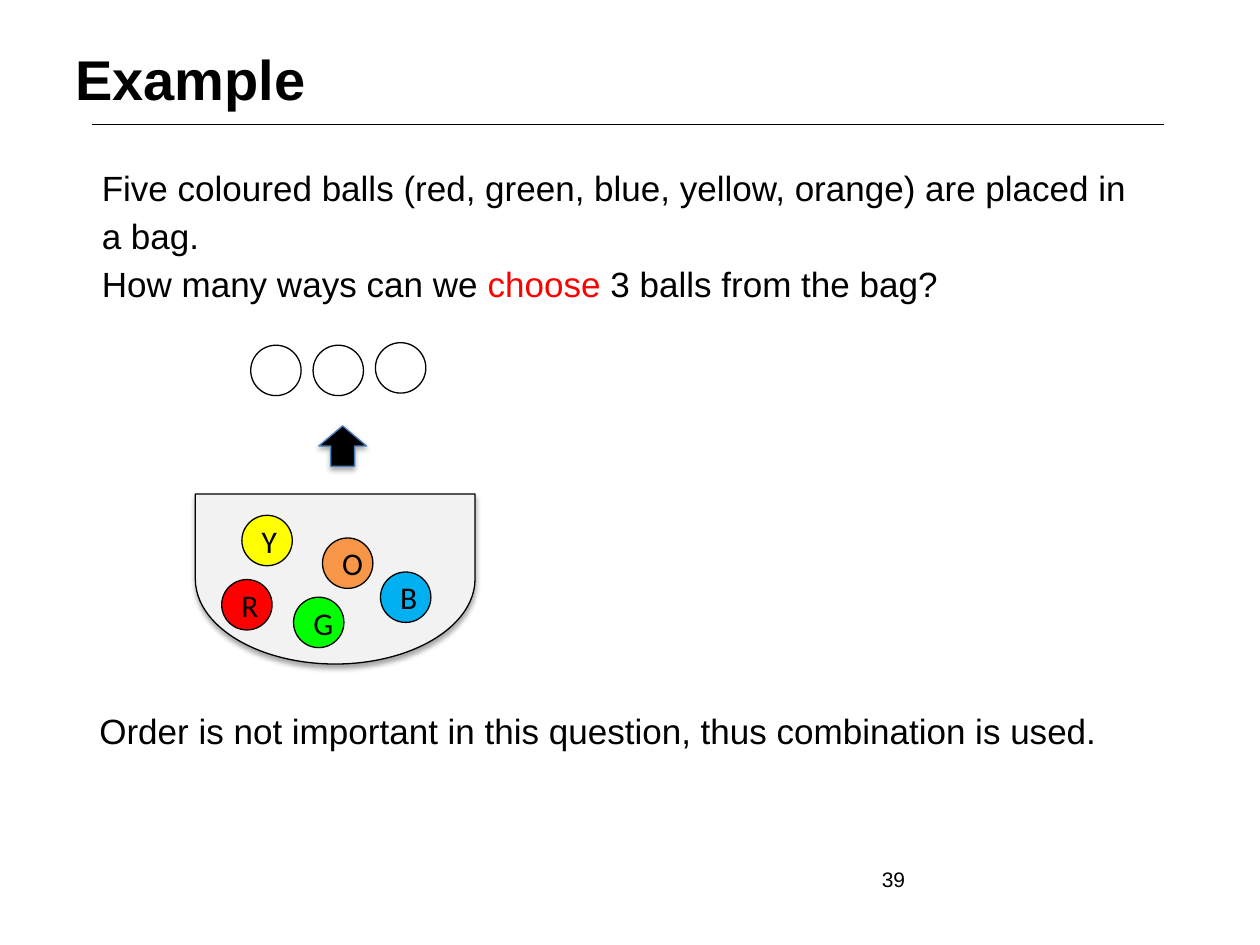
from collections import namedtuple
from dataclasses import dataclass

from lxml.etree import SubElement as Sub
from pptx import Presentation
from pptx.dml.color import RGBColor as Rgb
from pptx.enum.shapes import MSO_CONNECTOR as Link, MSO_SHAPE as Kind
from pptx.enum.text import MSO_ANCHOR as Anchor, PP_ALIGN as Align
from pptx.oxml.ns import qn
from pptx.util import Inches, Pt


@dataclass(frozen=True)
class Theme:
    ink: str = "000000"
    paper: str = "FFFFFF"
    bag: str = "F2F2F2"
    edge: str = "4B7EBC"
    red: str = "FF0000"
    green: str = "00FF00"
    blue: str = "00B0F0"
    yellow: str = "FFFF00"
    orange: str = "F79646"
    head: int = 32
    body: int = 20
    ball: int = 18
    foot: int = 12
    font: str = "Arial"
    label: str = "Calibri"
    line: float = 0.75
    rule: float = 0.25


T = Theme()
COLS, ROWS = 100, 75
CELL = Inches(10) / COLS
BALL = 4
Box = namedtuple("Box", "x y w h")


def grid(*nums):
    """Turn grid columns and rows into lengths."""
    return [round(n * CELL) for n in nums]


def put(item, form):
    for key, val in form.items():
        setattr(item, key, val)


def write(para, runs, size, font=T.font, bold=False):
    """Add (text, colour) runs to a paragraph."""
    for text, tint in runs:
        run = para.add_run()
        run.text = text
        put(run.font, {"size": Pt(size), "name": font, "bold": bold})
        run.font.color.rgb = Rgb.from_string(tint)


def text(slide, box, paras, size, bold=False, form=None, left=0):
    """Place a wrapped text box with one or more paragraphs."""
    frame = slide.shapes.add_textbox(*grid(*box)).text_frame
    frame.word_wrap = True
    for i, runs in enumerate(paras):
        para = frame.add_paragraph() if i else frame.paragraphs[0]
        if left:
            props = para._p.get_or_add_pPr()
            props.set("marL", str(grid(left)[0]))
            props.set("indent", "0")
        put(para, form or {})
        write(para, runs, size, bold=bold)


def shade(shape):
    """Give a shape a soft shadow straight below it."""
    glow = Sub(shape._element.spPr.find(qn("a:effectLst")), qn("a:outerShdw"),
               blurRad=str(Pt(3.1)), dist=str(Pt(1.8)),
               dir="5400000", rotWithShape="0")
    tint = Sub(glow, qn("a:srgbClr"), val=T.ink)
    Sub(tint, qn("a:alpha"), val="35000")


def draw(group, kind, box, fill, edge=T.ink):
    shape = group.shapes.add_shape(kind, *grid(*box))
    shape.shadow.inherit = False
    shape.fill.solid()
    shape.fill.fore_color.rgb = Rgb.from_string(fill)
    shape.line.color.rgb = Rgb.from_string(edge)
    shape.line.width = Pt(T.line)
    return shape


def ball(group, x, y, fill, mark=""):
    shape = draw(group, Kind.OVAL, Box(x, y, BALL, BALL), fill)
    if mark:
        frame = shape.text_frame
        put(frame, {"word_wrap": True, "vertical_anchor": Anchor.MIDDLE})
        para = frame.paragraphs[0]
        para.alignment = Align.CENTER
        write(para, [(mark, T.ink)], T.ball, T.label)


def header(slide, box):
    # Rule below the title, then the title
    y = box.y + 6.9
    rule = slide.shapes.add_connector(
        Link.STRAIGHT, *grid(box.x + 2.3, y, box.x + 87.4, y))
    rule.line.color.rgb = Rgb.from_string(T.ink)
    rule.line.width = Pt(T.rule)
    Sub(rule._element.spPr, qn("a:effectLst"))
    text(slide, box, [[("Example", T.ink)]], T.head, bold=True)


def task(slide, box):
    text(slide, box, [
        [("Five coloured balls (red, green, blue, yellow, orange) "
          "are placed in a bag.", T.ink)],
        [("How many ways can we ", T.ink), ("choose", T.red),
         (" 3 balls from the bag?", T.ink)],
    ], T.body, form={"line_spacing": 1.15})


def figure(slide, box):
    group = slide.shapes.add_group_shape()
    # Bag: a delay shape turned so that its round end faces down
    wide, tall = box.w, 13.5
    top = box.y + box.h - tall
    bag = draw(group, Kind.FLOWCHART_DELAY,
               Box(box.x + (wide - tall) / 2, top + (tall - wide) / 2,
                   tall, wide), T.bag)
    bag.rotation = 90
    shade(bag)
    # Balls in the bag
    for mark, fill, x, y in (("R", T.red, 2.1, 6.8), ("G", T.green, 7.8, 8.2),
                             ("B", T.blue, 14.7, 6.2),
                             ("Y", T.yellow, 3.7, 1.7),
                             ("O", T.orange, 10.1, 3.5)):
        ball(group, box.x + x, top + y, fill, mark)
    # Three places to fill
    for i, y in enumerate((0.2, 0.2, 0)):
        ball(group, box.x + 4.4 + 4.95 * i, box.y + y, T.paper)
    # Arrow out of the bag
    shade(draw(group, Kind.UP_ARROW, Box(box.x + 9.8, box.y + 6.6, 3.8, 3.2),
               T.ink, T.edge))


def answer(slide, box):
    text(slide, box, [[("Order is not important in this question, "
                        "thus combination is used.", T.ink)]], T.body,
         form={"line_spacing": 1.15, "space_after": Pt(6)}, left=3)


def footer(slide, box):
    text(slide, box, [[("39", T.ink)]], T.foot)


def main():
    deck = Presentation()
    put(deck, dict(zip(("slide_width", "slide_height"), grid(COLS, ROWS))))
    slide = deck.slides.add_slide(deck.slide_layouts[6])
    header(slide, Box(5, 3, 90, 9.2))
    task(slide, Box(7.1, 12.2, 84.4, 12.6))
    answer(slide, Box(3.9, 55.3, 84.9, 4.6))
    figure(slide, Box(15.5, 27.2, 22.2, 25.5))
    footer(slide, Box(69, 68.3, 23.3, 4))
    deck.save("out.pptx")


if __name__ == "__main__":
    main()
